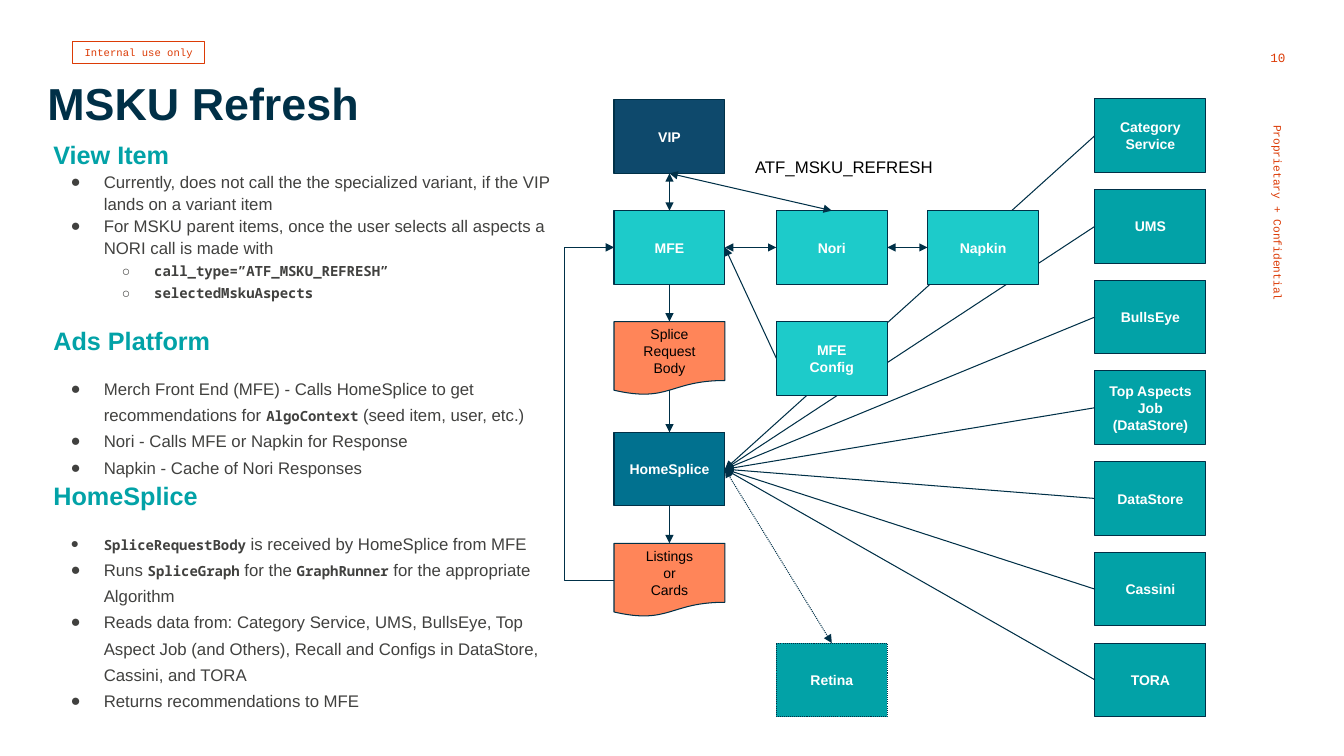
import pptx
import pptx.util
import pptx.dml.color
import pptx.enum.dml
import pptx.enum.shapes
import pptx.enum.text
import pptx.oxml
import pptx.oxml.ns
from dataclasses import dataclass
from pptx.util import Inches


@dataclass(frozen=True)
class Theme:
    sans: str = "Arial"
    mono: str = "Courier New"
    code: str = "Noto Sans Mono"
    navy: str = "003047"
    vip: str = "0E496C"
    splice: str = "01718F"
    teal: str = "02A2A7"
    aqua: str = "1DCBCA"
    coral: str = "FF8559"
    red: str = "DC3B06"
    grey: str = "41413F"
    white: str = "FFFFFF"
    black: str = "000000"
    title: float = 32
    heading: float = 18
    body: float = 12
    small: float = 10
    page: float = 9
    footer: float = 8
    tag: float = 7.5
    line: float = 0.75


T = Theme()
ALIGN = pptx.enum.text.PP_ALIGN
ANCHOR = pptx.enum.text.MSO_ANCHOR
SHAPE = pptx.enum.shapes.MSO_SHAPE
CONNECTOR = pptx.enum.shapes.MSO_CONNECTOR
TOP, LEFT, BOTTOM, RIGHT = range(4)

TITLE = "MSKU Refresh"
# (kind, text, line spacing, space before); backticks enclose code
BODY = [
    ("heading", "View Item", 1.1, 0),
    ("bullet", "Currently, does not call the the specialized variant, if the VIP lands on a variant item", 1.1, 0),
    ("bullet", "For MSKU parent items, once the user selects all aspects a NORI call is made with", 1.1, 0),
    ("sub", "call_type=”ATF_MSKU_REFRESH”", 1.3, 0),
    ("sub", "selectedMskuAspects", 1.3, 0),
    ("heading", "Ads Platform", 1.1, 15),
    ("bullet", "Merch Front End (MFE) - Calls HomeSplice to get recommendations for `AlgoContext` (seed item, user, etc.)", 1.3, 12),
    ("bullet", "Nori - Calls MFE or Napkin for Response", 1.3, 0),
    ("bullet", "Napkin - Cache of Nori Responses", 1.3, 0),
    ("heading", "HomeSplice", 1.1, 0),
    ("bullet", "`SpliceRequestBody` is received by HomeSplice from MFE", 1.3, 12),
    ("bullet", "Runs `SpliceGraph` for the `GraphRunner` for the appropriate Algorithm", 1.3, 0),
    ("bullet", "Reads data from: Category Service, UMS, BullsEye, Top Aspect Job (and Others), Recall and Configs in DataStore, Cassini, and TORA", 1.3, 0),
    ("bullet", "Returns recommendations to MFE", 1.3, 0),
]
SOURCES = ["Category\nService", "UMS", "BullsEye", "Top Aspects\nJob\n(DataStore)",
           "DataStore", "Cassini", "TORA"]
# label: (column, row, fill)
FLOW = {
    "VIP": (0, 0, T.vip),
    "MFE": (0, 1, T.aqua),
    "Nori": (1, 1, T.aqua),
    "Splice\nRequest\nBody": (0, 2, T.coral),
    "HomeSplice": (0, 3, T.splice),
    "Listings\nor\nCards": (0, 4, T.coral),
}
FRONT = {"Napkin": (2, 1, T.aqua), "MFE\nConfig": (1, 2, T.aqua)}
# (from, side, to, side, arrowhead at both ends)
LINKS = [
    ("VIP", BOTTOM, "MFE", TOP, True),
    ("VIP", BOTTOM, "Nori", TOP, True),
    ("Nori", LEFT, "MFE", RIGHT, True),
    ("MFE", BOTTOM, "Splice\nRequest\nBody", TOP, False),
    ("Splice\nRequest\nBody", BOTTOM, "HomeSplice", TOP, False),
    ("HomeSplice", BOTTOM, "Listings\nor\nCards", TOP, False),
] + [(name, LEFT, "HomeSplice", RIGHT, False) for name in SOURCES]
FRONT_LINKS = [
    ("Nori", RIGHT, "Napkin", LEFT, True),
    ("MFE\nConfig", LEFT, "MFE", RIGHT, False),
]

COLUMNS = [6.09, 7.7, 9.2, 10.86]
FLOW_TOP, FLOW_STEP = 0.99, 1.1
SOURCE_TOP, SOURCE_STEP = 0.98, 0.9
BOX_W, BOX_H = 1.1, 0.73
WAVE = 0.93  # share of a document's height at the middle of its wavy edge
LOOP_REACH = 0.41

prs = pptx.Presentation()
prs.slide_width, prs.slide_height = Inches(13.33), Inches(7.5)
s = prs.slides.add_slide(prs.slide_layouts[5])
boxes = {}


def rgb(value):
    return pptx.dml.color.RGBColor.from_string(value)


def style(font, size, color, name=T.sans, bold=False):
    font.size, font.name, font.bold = pptx.util.Pt(size), name, bold
    font.color.rgb = rgb(color)


def add_xml(parent, tag, **attrs):
    el = pptx.oxml.parse_xml(f"<a:{tag} {pptx.oxml.ns.nsdecls('a')}/>")
    for key, value in attrs.items():
        el.set(key, value)
    parent.append(el)


def frame(sp, anchor, inset=0):
    tf = sp.text_frame
    tf.word_wrap, tf.vertical_anchor = True, anchor
    tf.auto_size = pptx.enum.text.MSO_AUTO_SIZE.NONE
    tf.margin_left = tf.margin_top = tf.margin_right = tf.margin_bottom = Inches(inset)
    return tf


def write(tf, text, align, *font):
    for i, line in enumerate(text.split("\n")):
        p = tf.add_paragraph() if i else tf.paragraphs[0]
        p.text, p.alignment = line, align
        style(p.font, *font)


def add_label(text, x, y, w, h, anchor, inset, *font):
    sp = s.shapes.add_textbox(*map(Inches, (x, y, w, h)))
    write(frame(sp, anchor, inset), text, ALIGN.LEFT, *font)
    return sp


def outline(line, color, dotted=False):
    line.color.rgb, line.width = rgb(color), pptx.util.Pt(T.line)
    if dotted:
        line.dash_style = pptx.enum.dml.MSO_LINE.ROUND_DOT


def add_box(text, x, y, fill, dotted=False):
    document = fill == T.coral
    kind = SHAPE.FLOWCHART_DOCUMENT if document else SHAPE.FLOWCHART_PROCESS
    sp = boxes[text] = s.shapes.add_shape(kind, *map(Inches, (x, y, BOX_W, BOX_H)))
    sp.shadow.inherit = False
    sp.fill.solid()
    sp.fill.fore_color.rgb = rgb(fill)
    outline(sp.line, T.navy, dotted)
    write(frame(sp, ANCHOR.MIDDLE, 0.1), text, ALIGN.CENTER, T.small,
          T.black if document else T.white, T.sans, not document)


def add_flow(flow):
    for text, (col, row, fill) in flow.items():
        add_box(text, COLUMNS[col], FLOW_TOP + FLOW_STEP * row, fill)


def link(start, start_side, end, end_side, both=False, dotted=False, kind=CONNECTOR.STRAIGHT):
    con = s.shapes.add_connector(kind, 0, 0, 0, 0)
    sp = boxes[start]
    con.begin_connect(sp, start_side)
    con.end_connect(boxes[end], end_side)
    if sp.auto_shape_type == SHAPE.FLOWCHART_DOCUMENT and start_side == BOTTOM:
        con.begin_y = sp.top + int(sp.height * WAVE)
    outline(con.line, T.navy, dotted)
    ln = con.line._get_or_add_ln()
    if both:
        add_xml(ln, "headEnd", type="triangle")
    add_xml(ln, "tailEnd", type="triangle")
    add_xml(con._element.spPr, "effectLst")
    return con


def link_loop(start, end):
    """Join two left sides by a bend that reaches out to the left."""
    con = link(start, LEFT, end, LEFT, kind=CONNECTOR.ELBOW)
    con.end_x = con.begin_x + 600  # the bend is a multiple of the width, so it cannot be 0
    bend = -int(Inches(LOOP_REACH) / 600 * 100000)
    add_xml(con._element.spPr.prstGeom.get_or_add_avLst(), "gd", name="adj1", fmla=f"val {bend}")


def write_body(tf):
    for i, (kind, text, spacing, before) in enumerate(BODY):
        p = tf.add_paragraph() if i else tf.paragraphs[0]
        p.line_spacing, p.space_before = spacing, pptx.util.Pt(before)
        if kind != "heading":
            sub = kind == "sub"
            pPr = p._p.get_or_add_pPr()
            pPr.set("marL", str(Inches(1 if sub else 0.5)))
            pPr.set("indent", str(Inches(-0.32 if sub else -0.33)))
            add_xml(pPr, "buFont", typeface=T.sans)
            add_xml(pPr, "buChar", char="○" if sub else "●")
            p.level = int(sub)
        style(p.font, *{"heading": (T.heading, T.teal, T.sans, True),
                        "bullet": (T.body, T.grey),
                        "sub": (T.small, T.grey, T.code, True)}[kind])
        for j, part in enumerate(text.split("`")):
            if part:
                r = p.add_run()
                r.text = part
                if j % 2:
                    style(r.font, T.small, T.grey, T.code, True)


title = s.shapes.title
title.left, title.top, title.width, title.height = map(Inches, (0.47, 0.27, 5.65, 1.49))
write(frame(title, ANCHOR.MIDDLE), TITLE, ALIGN.LEFT, T.title, T.navy, T.sans, True)
write_body(frame(s.shapes.add_textbox(*map(Inches, (0.53, 1.35, 5.14, 5.85))), ANCHOR.TOP))

tag = s.shapes.add_shape(SHAPE.RECTANGLE, *map(Inches, (0.72, 0.41, 1.31, 0.22)))
tag.shadow.inherit = False
tag.fill.background()
outline(tag.line, T.red)
write(frame(tag, ANCHOR.MIDDLE, 0.1), "Internal use only", ALIGN.CENTER, T.tag, T.red, T.mono)
add_label("10", 12.6, 0.44, 0.62, 0.21, ANCHOR.BOTTOM, 0, T.page, T.red, T.mono)
side = add_label("Proprietary + Confidential", 11.27, 2.58, 2.81, 0.13, ANCHOR.BOTTOM, 0,
                 T.footer, T.red, T.mono)
side.rotation = 90

add_flow(FLOW)
for i, name in enumerate(SOURCES):
    add_box(name, COLUMNS[3], SOURCE_TOP + SOURCE_STEP * i, T.teal)
add_box("Retina", COLUMNS[1], SOURCE_TOP + SOURCE_STEP * 6, T.teal, dotted=True)
for ends in LINKS:
    link(*ends)
link("Retina", TOP, "HomeSplice", RIGHT, both=True, dotted=True)
link_loop("Listings\nor\nCards", "MFE")
add_flow(FRONT)
for ends in FRONT_LINKS:
    link(*ends)
add_label("ATF_MSKU_REFRESH", 7.39, 1.46, 2.45, 0.4, ANCHOR.TOP, 0.1, T.body, T.black)

prs.save("out.pptx")
